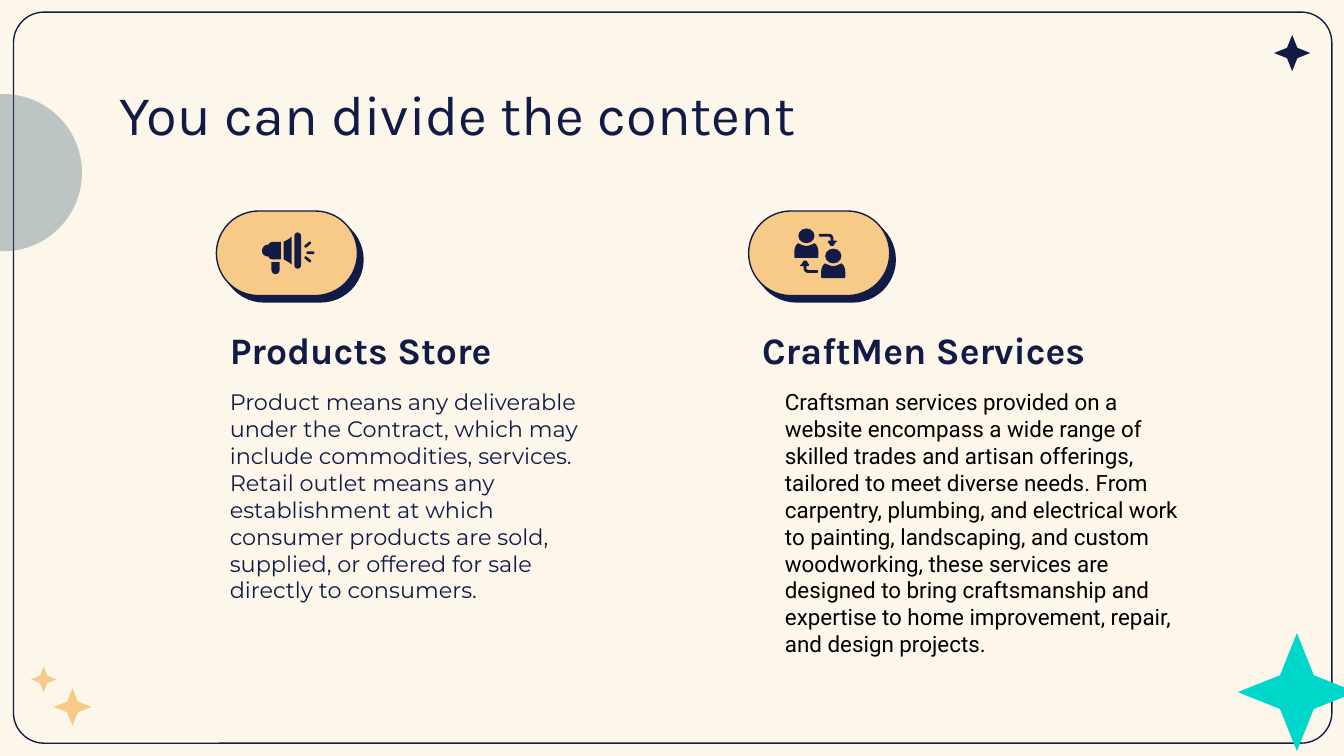
"""Build a two-column slide about products and services."""
from lxml import etree
from pptx import Presentation
from pptx.dml.color import RGBColor
from pptx.enum.shapes import MSO_SHAPE
from pptx.enum.text import MSO_ANCHOR, MSO_AUTO_SIZE, PP_ALIGN
from pptx.oxml.ns import qn
from pptx.util import Inches, Pt

ROUND, ROUND_TOP = MSO_SHAPE.ROUNDED_RECTANGLE, MSO_SHAPE.ROUND_2_SAME_RECTANGLE
OVAL, STAR = MSO_SHAPE.OVAL, MSO_SHAPE.STAR_4_POINT
TOP, BOTTOM = MSO_ANCHOR.TOP, MSO_ANCHOR.BOTTOM
LEFT, NO_FIT = PP_ALIGN.LEFT, MSO_AUTO_SIZE.NONE
CREAM, NAVY, PEACH, TEAL, SLATE = "FDF6EB", "121B46", "F8CA88", "00D7CB", "577785"
CURVE_STEPS = 8

SPEAKER = [(42, 23), (41, 23, 39, 24, 39, 25), (36, 25, 34, 27, 34, 30),
           (34, 32, 36, 34, 39, 34), (39, 35, 40, 36, 42, 36), (48, 36), (48, 23)]
HORN = [(56, 19), (55, 20), (54, 21, 52, 22, 50, 23), (50, 36),
        (52, 37, 54, 38, 55, 39), (56, 40)]
TORSO = [(37, 24), (35, 25, 34, 28, 34, 31), (34, 34), (34, 35, 35, 35, 35, 35),
         (51, 35), (51, 35, 52, 35, 52, 34), (52, 31), (52, 28, 51, 25, 49, 24),
         (47, 25, 45, 26, 43, 26), (41, 26, 39, 25, 37, 24)]
ARROW = [(53, 17), (52, 17, 52, 19, 53, 19), (60, 19), (60, 19, 61, 20, 61, 20),
         (61, 22), (60, 22), (59, 22, 59, 23, 59, 23), (61, 26),
         (62, 26, 62, 26, 63, 26), (65, 23), (66, 23, 66, 22, 65, 22), (63, 22),
         (63, 20), (63, 19, 62, 17, 60, 17)]

PRODUCTS = ("Product means any deliverable under the Contract, which may include "
            "commodities, services. Retail outlet means any establishment at which "
            "consumer products are sold, supplied, or offered for sale directly to "
            "consumers.")
SERVICES = ("Craftsman services provided on a website encompass a wide range of skilled "
            "trades and artisan offerings, tailored to meet diverse needs. From "
            "carpentry, plumbing, and electrical work to painting, landscaping, and "
            "custom woodworking, these services are designed to bring craftsmanship "
            "and expertise to home improvement, repair, and design projects.")


def rgb(value):
    """Return the colour for a hex string."""
    return RGBColor.from_string(value)


def paint(sp, fill=None, line=None):
    """Give a shape a plain fill and outline."""
    sp.shadow.inherit = False
    if fill:
        sp.fill.solid()
        sp.fill.fore_color.rgb = rgb(fill)
    else:
        sp.fill.background()
    if line:
        sp.line.color.rgb = rgb(line)
        sp.line.width = Pt(0.75)
    else:
        sp.line.fill.background()
    return sp


def add_preset(s, kind, x, y, w, h, fill=None, line=None, adj=None):
    """Add a painted preset shape."""
    sp = s.shapes.add_shape(kind, Inches(x), Inches(y), Inches(w), Inches(h))
    if adj is not None:
        sp.adjustments[0] = adj
    return paint(sp, fill, line)


def add_outline(s, x, y, path):
    """Add a filled outline given in hundredths of an inch from x, y."""
    points = [path[0]]
    for step in path[1:]:
        if len(step) == 2:
            points.append(step)
            continue
        controls = [points[-1], step[:2], step[2:4], step[4:]]
        for i in range(1, CURVE_STEPS + 1):
            t = i / CURVE_STEPS
            weights = ((1 - t) ** 3, 3 * t * (1 - t) ** 2, 3 * t * t * (1 - t), t ** 3)
            points.append(tuple(sum(w * c[k] for w, c in zip(weights, controls))
                                for k in (0, 1)))
    points = [(Inches(px / 100), Inches(py / 100)) for px, py in points]
    builder = s.shapes.build_freeform(*points[0])
    builder.add_line_segments(points[1:], close=True)
    return paint(builder.convert_to_shape(Inches(x), Inches(y)), NAVY)


def fill_text(sp, box, text, font, size, color=NAVY, bold=False, anchor=TOP, indent=0):
    """Place a placeholder and write one formatted paragraph in it."""
    sp.left, sp.top, sp.width, sp.height = (Inches(v) for v in box)
    tf = sp.text_frame
    tf.text = text
    tf.word_wrap = True
    tf.auto_size = NO_FIT
    tf.vertical_anchor = anchor
    tf.margin_left = tf.margin_right = tf.margin_top = tf.margin_bottom = Inches(0.1)
    p = tf.paragraphs[0]
    p.alignment = LEFT
    p.line_spacing = 1.0
    p.space_before = Pt(0)
    props = p._p.get_or_add_pPr()
    props.set("marL", str(Inches(indent)))
    props.set("indent", "0")
    etree.SubElement(props, qn("a:buNone"))
    r = p.runs[0]
    r.font.name, r.font.size, r.font.bold = font, Pt(size), bold
    r.font.color.rgb = rgb(color)


def add_pill(s, x, y):
    """Add the icon badge with its hard offset shadow."""
    sp = add_preset(s, ROUND, x, y, 1.05, 0.63, PEACH, NAVY, 0.5)
    effects = sp._element.spPr.find(qn("a:effectLst"))
    shadow = etree.SubElement(effects, qn("a:outerShdw"), blurRad="0",
                              dist=str(Pt(4.5)), dir=str(49 * 60000),
                              algn="bl", rotWithShape="0")
    etree.SubElement(shadow, qn("a:srgbClr"), val=NAVY)


def add_megaphone(s, x, y):
    """Draw the megaphone icon relative to its badge."""
    for path in (SPEAKER, HORN):
        add_outline(s, x, y, path)
    add_preset(s, ROUND_TOP, x + 0.41, y + 0.38, 0.06, 0.09, NAVY, adj=0.5).rotation = 180
    add_preset(s, ROUND, x + 0.58, y + 0.16, 0.05, 0.27, NAVY, adj=0.5)
    for dx, dy, angle in ((0.65, 0.24, -40), (0.67, 0.3, 0), (0.65, 0.35, 40)):
        add_preset(s, ROUND, x + dx, y + dy, 0.06, 0.02, NAVY, adj=0.5).rotation = angle


def add_exchange(s, x, y):
    """Draw two people and two arrows relative to their badge."""
    for dx, dy in ((0, 0), (0.2, 0.15)):
        add_preset(s, OVAL, x + dx + 0.37, y + dy + 0.13, 0.12, 0.11, NAVY)
        add_outline(s, x + dx, y + dy, TORSO)
    add_outline(s, x, y, ARROW)
    add_outline(s, x - 0.14, y + 0.2, ARROW).rotation = 180


def add_decor(s):
    """Add the frame, circle and stars."""
    add_preset(s, ROUND, 0.1, 0.09, 9.81, 5.44, line=NAVY, adj=0.042)
    circle = add_preset(s, OVAL, -0.56, 0.7, 1.17, 1.17, SLATE)
    color = circle._element.spPr.find(".//" + qn("a:srgbClr"))
    etree.SubElement(color, qn("a:alpha"), val="38000")
    for x, y, size, fill in ((9.21, 4.71, 0.88, TEAL), (9.48, 0.26, 0.27, NAVY),
                             (0.23, 4.96, 0.19, PEACH), (0.4, 5.12, 0.28, PEACH)):
        add_preset(s, STAR, x, y, size, size, fill, adj=0.202)


def add_column(s, x, y, heading, body, title, text, draw_icon, width=2.81, **style):
    """Place one column: badge, icon, heading and body."""
    add_pill(s, x, y)
    draw_icon(s, x, y)
    fill_text(heading, (x, y + 0.8, 2.81, 0.5), title, "Karla", 20,
              bold=True, anchor=BOTTOM)
    fill_text(body, (x, y + 1.22, width, 1.97), text, size=12, **style)


def main():
    """Build and save the slide."""
    prs = Presentation()
    prs.slide_width = Inches(10)
    prs.slide_height = prs.slide_width * 9 // 16
    s = prs.slides.add_slide(prs.slide_layouts.get_by_name("Comparison"))
    s.background.fill.solid()
    s.background.fill.fore_color.rgb = rgb(CREAM)
    title, head_a, body_a, head_b, body_b = s.placeholders
    add_decor(s)
    fill_text(title, (0.79, 0.49, 8.43, 0.63), "You can divide the content", "Karla", 30)
    add_column(s, 1.61, 1.57, head_a, body_a, "Products Store", PRODUCTS,
               add_megaphone, font="Montserrat")
    add_column(s, 5.57, 1.57, head_b, body_b, "CraftMen Services", SERVICES,
               add_exchange, width=3.43, font="Roboto", color="000000", indent=0.17)
    prs.save("out.pptx")


if __name__ == "__main__":
    main()
